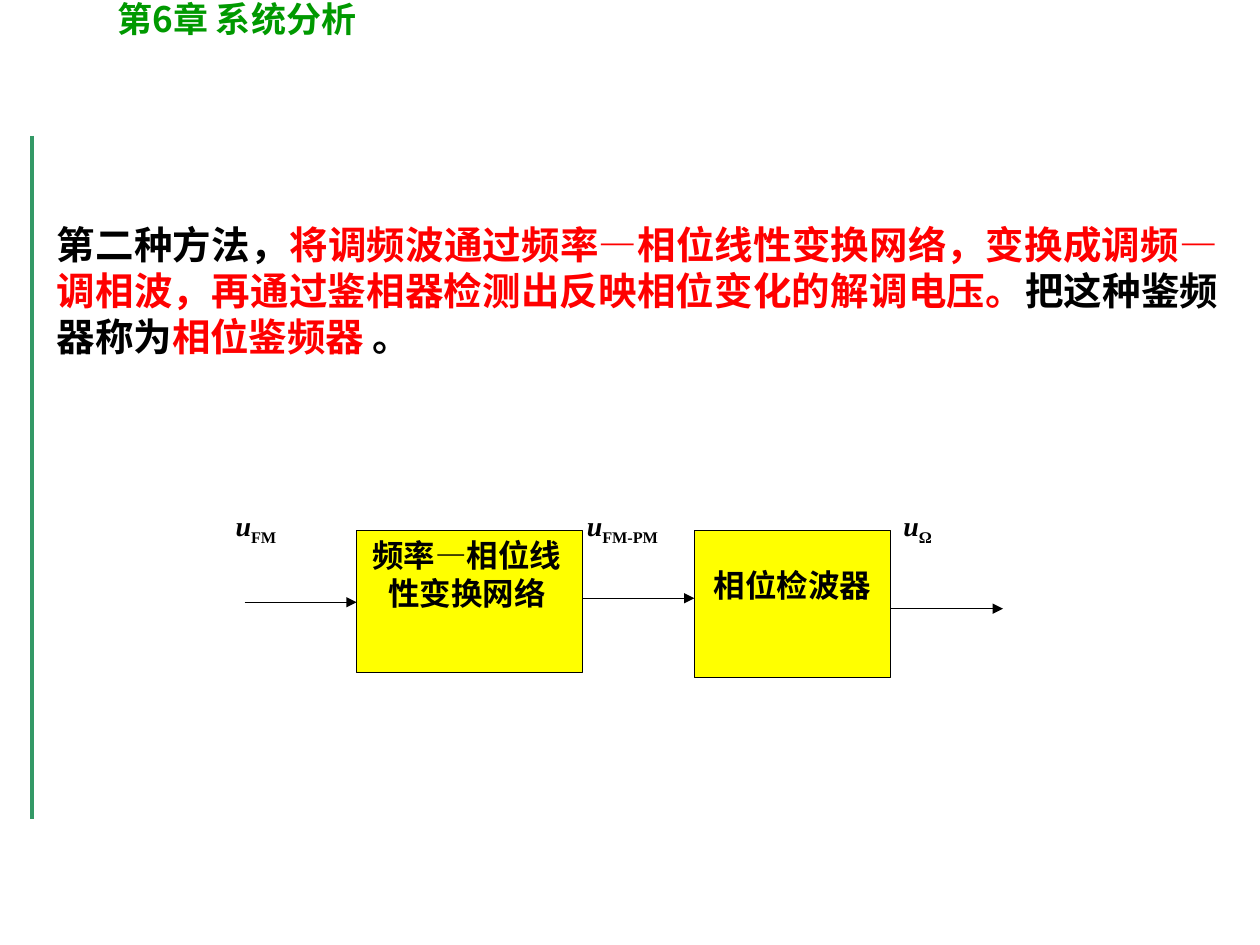
from lxml import etree
from pptx import Presentation
from pptx.dml.color import RGBColor
from pptx.enum.shapes import MSO_CONNECTOR, MSO_SHAPE
from pptx.enum.text import MSO_ANCHOR, MSO_AUTO_SIZE, PP_ALIGN
from pptx.oxml.ns import qn
from pptx.util import Cm, Pt

BLACK = RGBColor(0, 0, 0)
RED = RGBColor(0xFF, 0, 0)
GREEN = RGBColor(0, 0x99, 0)
RULE_GREEN = RGBColor(0x33, 0x99, 0x66)
YELLOW = RGBColor(0xFF, 0xFF, 0)
SERIF, CJK = "Times New Roman", "Noto Sans CJK SC"

# Content: runs are (text, colour, latin font)
TITLE = [("第", GREEN, SERIF), ("6", GREEN, CJK), ("章 系统分析", GREEN, SERIF)]
BODY = [
    ("第二种方法，", BLACK, SERIF),
    ("将调频波通过频率—相位线性变换网络，变换成调频—调相波，"
     "再通过鉴相器检测出反映相位变化的解调电压。", RED, SERIF),
    ("把这种鉴频器称为", BLACK, SERIF),
    ("相位鉴频器", RED, SERIF),
    (" 。", BLACK, SERIF),
]
# Boxes in cm: frame, text frame, lines as (text, indent in points)
BOXES = [
    ((7.19, 10.69, 4.55, 2.87), (7.26, 10.69, 5.11, 3.45),
     [("频率—相位线", 0), ("性变换网络", 9)]),
    ((14, 10.69, 3.96, 2.97), (14, 11.28, 3.96, 2.31),
     [("相位检波器", 4)]),
]
ARROW_LENGTH = 2.26
ARROWS = [(4.93, 12.14), (11.74, 12.06), (17.96, 12.27)]
LABEL_TOP, LABEL_W, LABEL_H = 10.13, 2.84, 2.29
LABELS = [(4.5, "FM"), (11.58, "FM-PM"), (17.96, "Ω")]


def place(sp, frame):
    sp.left, sp.top, sp.width, sp.height = [Cm(v) for v in frame]
    tf = sp.text_frame
    tf.word_wrap = True
    tf.auto_size = MSO_AUTO_SIZE.NONE
    tf.vertical_anchor = MSO_ANCHOR.TOP
    return tf


def format_paragraph(p, indent=0, align=PP_ALIGN.LEFT):
    pPr = p._p.get_or_add_pPr()
    pPr.set("marL", str(Pt(indent)))
    pPr.set("indent", "0")
    etree.SubElement(pPr, qn("a:buNone"))
    p.alignment = align
    p.space_before = p.space_after = Pt(0)


def add_run(p, text, size, color=BLACK, latin=SERIF):
    r = p.add_run()
    r.text = text
    r.font.size, r.font.bold, r.font.name = Pt(size), True, latin
    r.font.color.rgb = color
    ea = etree.Element(qn("a:ea"), typeface=CJK)
    r._r.rPr.find(qn("a:latin")).addnext(ea)
    return r


def fill_placeholder(sp, frame, runs, size, align):
    p = place(sp, frame).paragraphs[0]
    format_paragraph(p, align=align)
    p.line_spacing = Pt(size * 1.2)
    for text, color, latin in runs:
        add_run(p, text, size, color, latin)


def add_line(s, start, end, color, width):
    line = s.shapes.add_connector(
        MSO_CONNECTOR.STRAIGHT, *[Cm(v) for v in start + end])
    line.line.color.rgb = color
    line.line.width = Pt(width)
    etree.SubElement(line._element.spPr, qn("a:effectLst"))
    return line


def add_text_box(s, frame):
    return place(s.shapes.add_textbox(0, 0, 0, 0), frame)


prs = Presentation()
prs.slide_width, prs.slide_height = Cm(25.4), Cm(19.05)
s = prs.slides.add_slide(prs.slide_layouts[1])

# Side rule, chapter title and paragraph
add_line(s, (0.64, 2.74), (0.64, 16.51), RULE_GREEN, 2.25)
fill_placeholder(s.shapes.title, (2.11, -0.18, 14.6, 1.12), TITLE, 20,
                 PP_ALIGN.LEFT)
fill_placeholder(s.placeholders[1], (0.89, 4.32, 23.93, 3.05), BODY, 22,
                 PP_ALIGN.JUSTIFY)

# Block diagram: boxes with their captions
for frame, text_frame, lines in BOXES:
    sp = s.shapes.add_shape(MSO_SHAPE.RECTANGLE, *[Cm(v) for v in frame])
    sp.shadow.inherit = False
    sp.fill.solid()
    sp.fill.fore_color.rgb = YELLOW
    sp.line.color.rgb = BLACK
    sp.line.width = Pt(0.75)
    tf = add_text_box(s, text_frame)
    for i, (text, indent) in enumerate(lines):
        p = tf.add_paragraph() if i else tf.paragraphs[0]
        format_paragraph(p, indent)
        p.line_spacing = Pt(21.6)
        add_run(p, text, 18)

# Signal arrows
for x, y in ARROWS:
    arrow = add_line(s, (x, y), (x + ARROW_LENGTH, y), BLACK, 0.75)
    etree.SubElement(arrow.line._get_or_add_ln(), qn("a:tailEnd"),
                     type="triangle")

# Signal names with subscripts
for x, subscript in LABELS:
    p = add_text_box(s, (x, LABEL_TOP, LABEL_W, LABEL_H)).paragraphs[0]
    format_paragraph(p)
    add_run(p, "u", 16).font.italic = True
    add_run(p, subscript, 16)._r.rPr.set("baseline", "-25000")

prs.save("out.pptx")
